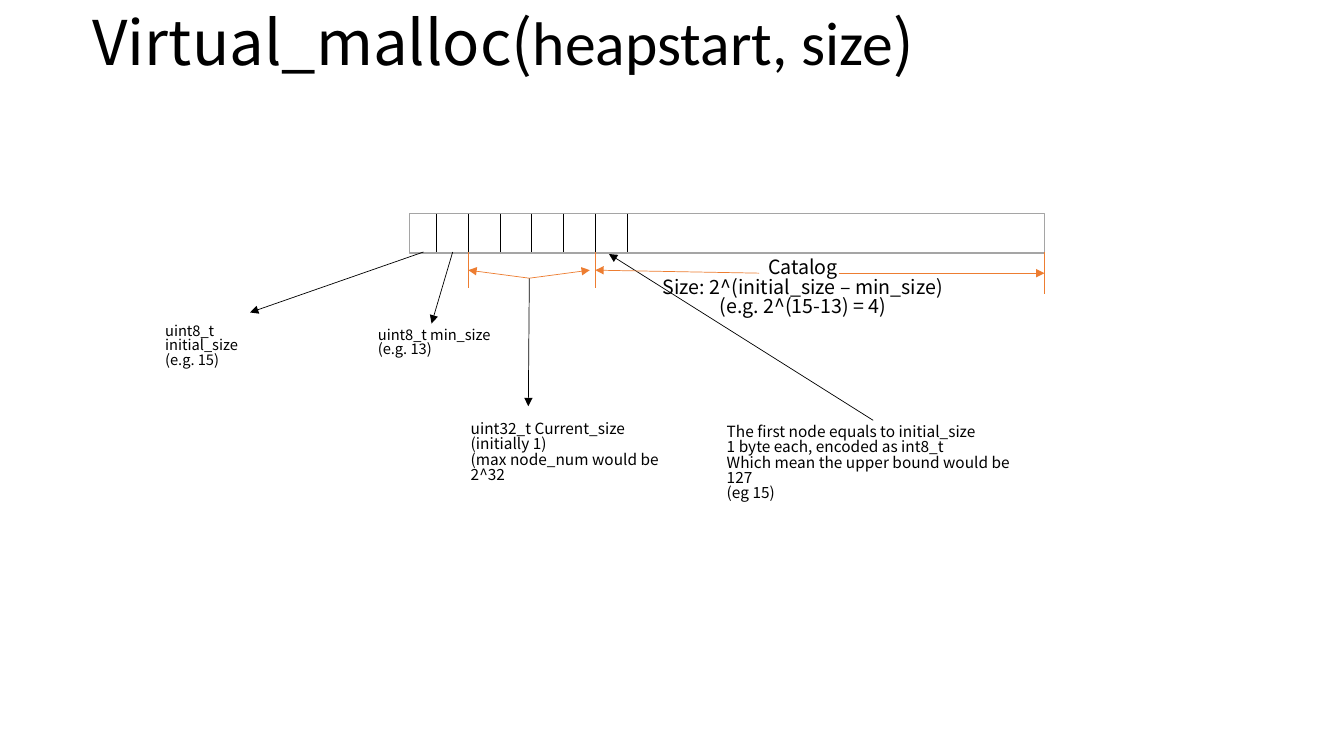
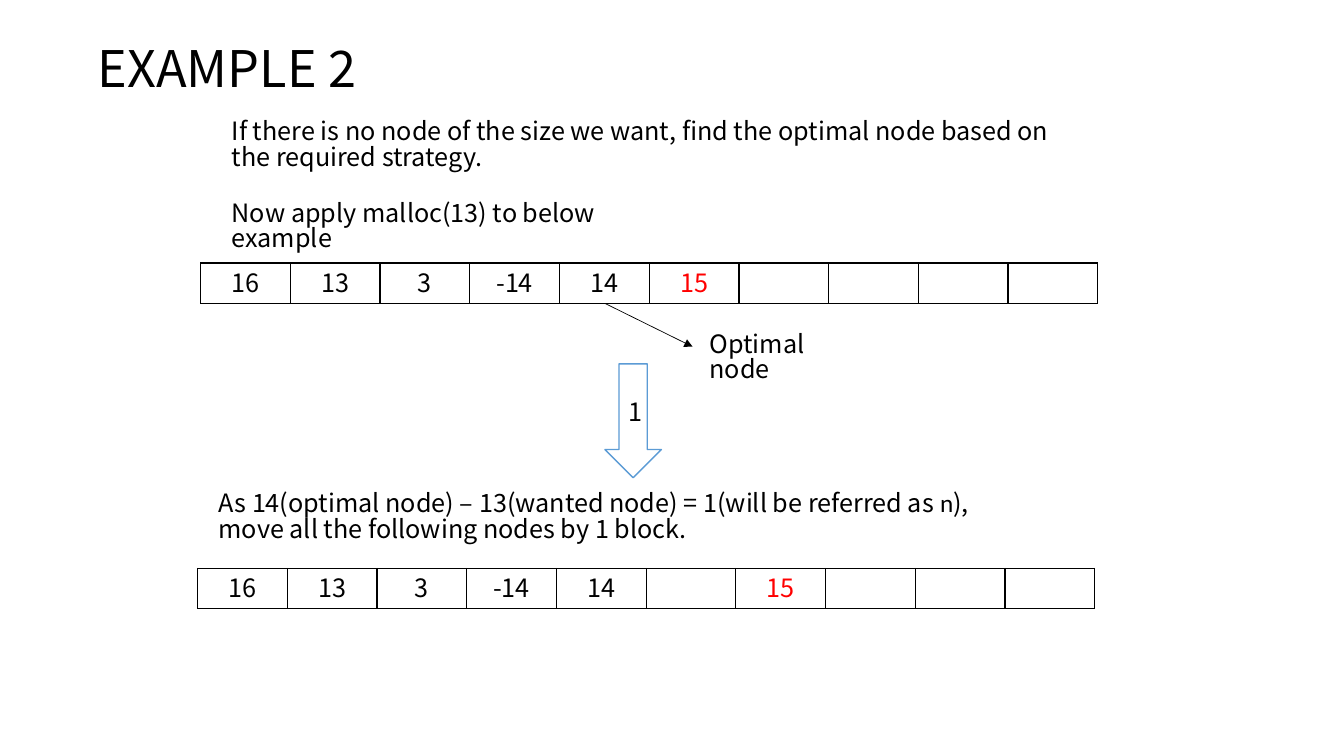
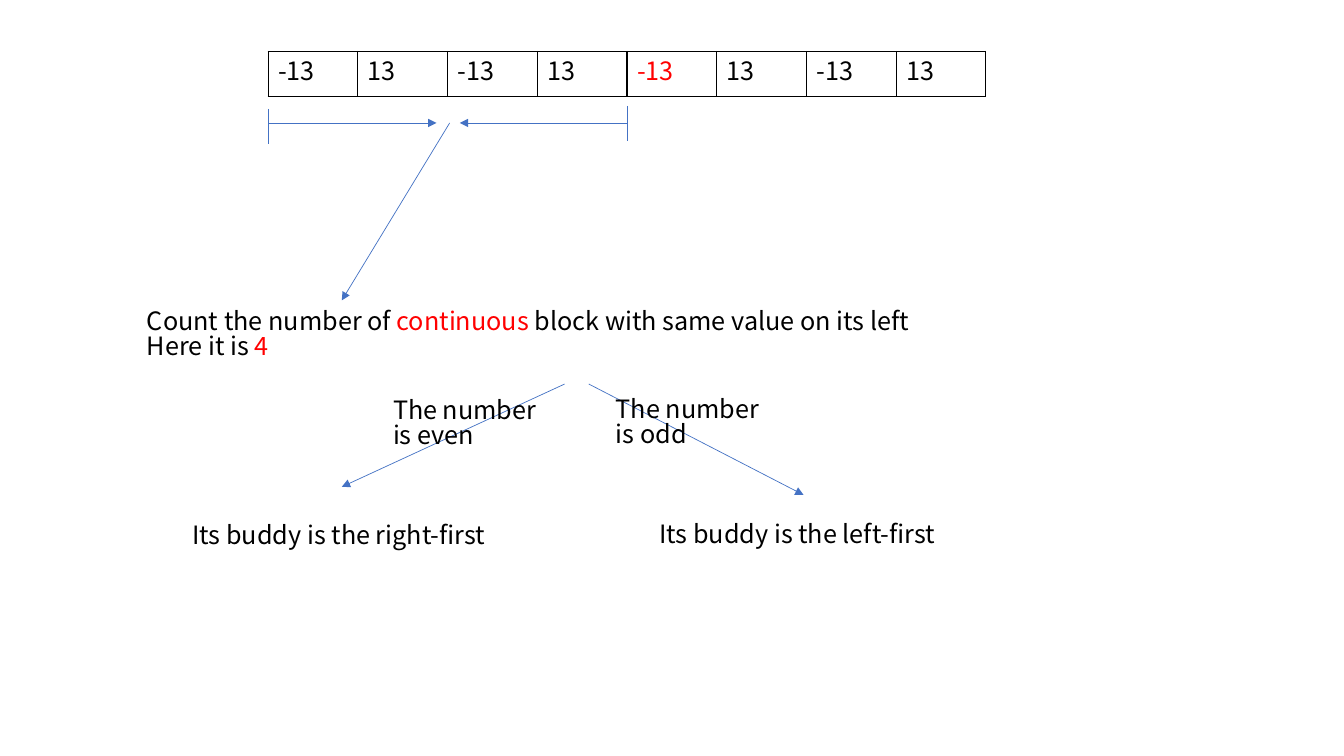
import dataclasses
import typing

import lxml.etree
import pptx
import pptx.dml.color
import pptx.enum.shapes
import pptx.enum.text
import pptx.oxml.ns
import pptx.util

Inches = pptx.util.Inches
qn = pptx.oxml.ns.qn
ALIGN = pptx.enum.text.PP_ALIGN
ANCHOR = pptx.enum.text.MSO_ANCHOR
SHAPE = pptx.enum.shapes.MSO_SHAPE

# Shared style
COLORS = {
    "black": "000000", "white": "FFFFFF", "red": "FF0000", "gray": "A5A5A5",
    "orange": "ED7D31", "blue": "4472C4", "arrow": "5B9BD5",
}
BODY_FONT = "Noto Sans CJK SC"
CODE_FONT = "Calibri"
LINE_SPACING = 0.83
CELL_WIDTH = 0.89


@dataclasses.dataclass
class Run:
    text: str
    color: str = "black"
    font: str = BODY_FONT


@dataclasses.dataclass
class Label:
    left: float
    top: float
    width: float
    height: float
    paragraphs: list
    size: float = 18
    align: typing.Any = ALIGN.LEFT


@dataclasses.dataclass
class Line:
    start: tuple
    end: tuple
    color: str = "black"
    arrow: bool = True


def rgb(name: str):
    return pptx.dml.color.RGBColor.from_string(COLORS[name])


def write_text(frame, paragraphs: list, *, size: float = 18, align=ALIGN.LEFT,
               spacing: float = LINE_SPACING, anchor=ANCHOR.TOP) -> None:
    """Fill a frame; each paragraph is a string or a list of runs."""
    frame.word_wrap = True
    frame.vertical_anchor = anchor
    for index, content in enumerate(paragraphs):
        paragraph = frame.paragraphs[0] if index == 0 else frame.add_paragraph()
        paragraph.alignment = align
        paragraph.line_spacing = spacing
        for part in [Run(content)] if isinstance(content, str) else content:
            run = paragraph.add_run()
            run.text = part.text
            run.font.size = pptx.util.Pt(size)
            run.font.name = part.font
            run.font.color.rgb = rgb(part.color)


def add_label(slide, label: Label, **text_format):
    box = slide.shapes.add_textbox(Inches(label.left), Inches(label.top),
                                   Inches(label.width), Inches(label.height))
    write_text(box.text_frame, label.paragraphs, size=label.size,
               align=label.align, **text_format)
    return box


def add_line(slide, line: Line):
    connector = slide.shapes.add_connector(
        pptx.enum.shapes.MSO_CONNECTOR.STRAIGHT,
        *(Inches(value) for value in line.start + line.end))
    connector.line.color.rgb = rgb(line.color)
    connector.line.width = pptx.util.Pt(0.5)
    if line.arrow:
        lxml.etree.SubElement(connector.line._get_or_add_ln(), qn("a:tailEnd"), type="triangle")
    lxml.etree.SubElement(connector._element.spPr, qn("a:effectLst"))
    return connector


def add_block(slide, kind, left: float, top: float, width: float, height: float, color: str):
    shape = slide.shapes.add_shape(kind, Inches(left), Inches(top),
                                   Inches(width), Inches(height))
    shape.shadow.inherit = False
    shape.fill.solid()
    shape.fill.fore_color.rgb = rgb("white")
    shape.line.color.rgb = rgb(color)
    shape.line.width = pptx.util.Pt(1)
    return shape


def add_borders(cell) -> None:
    properties = cell._tc.get_or_add_tcPr()
    for index, side in enumerate(("lnL", "lnR", "lnT", "lnB")):
        border = lxml.etree.Element(qn(f"a:{side}"), w=str(pptx.util.Pt(1)))
        fill = lxml.etree.SubElement(border, qn("a:solidFill"))
        lxml.etree.SubElement(fill, qn("a:srgbClr"), val=COLORS["black"])
        properties.insert(index, border)


def add_node_table(slide, left: float, top: float, height: float, values: list,
                   red_index: int, align=ALIGN.CENTER) -> None:
    """One row of heap nodes with a single node marked red."""
    table = slide.shapes.add_table(1, len(values), Inches(left), Inches(top),
                                   Inches(CELL_WIDTH * len(values)), Inches(height)).table
    table.first_row = table.horz_banding = False
    for index, value in enumerate(values):
        table.columns[index].width = Inches(CELL_WIDTH)
        cell = table.cell(0, index)
        cell.fill.background()
        add_borders(cell)
        if value:
            color = "red" if index == red_index else "black"
            write_text(cell.text_frame, [[Run(value, color)]], align=align)


def build_malloc_slide(slide) -> None:
    title = Label(0.82, 0.08, 11.5, 0.81,
                  [[Run("Virtual_malloc("), Run("heapstart, size", font=CODE_FONT), Run(")")]],
                  size=44)
    add_label(slide, title, spacing=0.9 * LINE_SPACING, anchor=ANCHOR.MIDDLE)

    # Heap bar with its one-byte cells
    top, bottom, right = 2.12, 2.5, 10.36
    add_block(slide, SHAPE.RECTANGLE, 4.06, top, 6.3, 0.39, "gray")
    dividers = [4.33 + 0.315 * index for index in range(7)]
    for x in dividers:
        add_line(slide, Line((x, top), (x, bottom), arrow=False))

    # Field descriptions
    for label in (
        Label(1.54, 3.17, 1.35, 0.45, ["uint8_t initial_size", "(e.g. 15)"], 10.5),
        Label(3.65, 3.21, 1.35, 0.45, ["uint8_t min_size", "(e.g. 13)"], 10.5),
        Label(4.57, 4.14, 2.39, 0.66,
              ["uint32_t Current_size", "(initially 1)", "(max node_num would be 2^32"], 11),
        Label(6.45, 2.52, 3.03, 0.81,
              ["Catalog", "Size: 2^(initial_size – min_size)", "(e.g. 2^(15-13) = 4)"],
              14, ALIGN.CENTER),
    ):
        add_label(slide, label)
    first_node = add_label(slide, Label(
        7.11, 4.17, 3.1, 0.84,
        ["The first node equals to initial_size", "1 byte each, encoded as int8_t",
         "Which mean the upper bound would be 127", "(eg 15)"], 11))
    add_line(slide, Line((8.66, 4.17), (6.04, 2.52))).begin_connect(first_node, 0)

    # Pointers and extents
    size_start, catalog_start = dividers[1], dividers[5]
    for line in (
        Line((4.2, bottom), (2.48, 3.1)),
        Line((4.49, bottom), (4.28, 3.21)),
        Line((5.25, 2.76), (5.24, 4.03)),
        Line((size_start, bottom), (size_start, 2.86), "orange", False),
        Line((catalog_start, bottom), (catalog_start, 2.86), "orange", False),
        Line((right, bottom), (right, 2.92), "orange", False),
        Line((5.25, 2.76), (size_start, 2.68), "orange"),
        Line((5.25, 2.76), (5.85, 2.68), "orange"),
        Line((7.53, 2.71), (catalog_start, 2.68), "orange"),
        Line((8.32, 2.71), (right, 2.71), "orange"),
    ):
        add_line(slide, line)


def build_example_slide(slide) -> None:
    for label in (
        Label(0.87, 0.42, 6.1, 0.71, ["EXAMPLE 2"], 36),
        Label(2.2, 1.15, 8.4, 0.71, ["If there is no node of the size we want, find the "
                                     "optimal node based on the required strategy."]),
        Label(2.2, 1.96, 4.51, 0.4, ["Now apply malloc(13) to below example"]),
        Label(6.94, 3.26, 1.7, 0.4, ["Optimal node"]),
        Label(2.07, 4.84, 8.29, 0.71,
              [[Run("As 14(optimal node) – 13(wanted node) = 1(will be referred as "),
                Run("n", font=CODE_FONT),
                Run("), move all the following nodes by 1 block.")]]),
    ):
        add_label(slide, label)

    # Nodes before and after the move
    nodes = ["16", "13", "3", "-14", "14"]
    add_node_table(slide, 1.99, 2.61, 0.4, nodes + ["15", "", "", "", ""], 5)
    add_node_table(slide, 1.96, 5.64, 0.4, nodes + ["", "15", "", "", ""], 6)
    add_line(slide, Line((6, 3.01), (6.87, 3.44)))
    step = add_block(slide, SHAPE.DOWN_ARROW, 6, 3.61, 0.56, 1.13, "arrow")
    write_text(step.text_frame, ["1"], align=ALIGN.CENTER, anchor=ANCHOR.MIDDLE)


def build_buddy_slide(slide) -> None:
    left, middle = 2.66, 2.66 + 4 * CELL_WIDTH
    add_node_table(slide, left, 0.51, 0.45, ["-13", "13"] * 4, 4, ALIGN.LEFT)

    # Counted extent and decision branches
    for line in (
        Line((left, 1.08), (left, 1.43), "blue", False),
        Line((middle, 1.05), (middle, 1.4), "blue", False),
        Line((left, 1.22), (4.33, 1.22), "blue"),
        Line((middle, 1.22), (4.56, 1.22), "blue"),
        Line((4.46, 1.22), (3.39, 2.98), "blue"),
        Line((5.6, 3.81), (3.39, 4.83), "blue"),
        Line((5.84, 3.81), (7.97, 4.91), "blue"),
    ):
        add_line(slide, line)

    for label in (
        Label(1.36, 3.03, 8.06, 0.71,
              [[Run("Count the number of "), Run("continuous", "red"),
                Run(" block with same value on its left")],
               [Run("Here it is "), Run("4", "red")]]),
        Label(3.8, 3.91, 1.63, 0.71, ["The number is even"]),
        Label(6.01, 3.9, 1.63, 0.71, ["The number is odd"]),
        Label(1.81, 5.15, 3.14, 0.4, ["Its buddy is the right-first"]),
        Label(6.44, 5.14, 3.14, 0.4, ["Its buddy is the left-first"]),
    ):
        add_label(slide, label)


def main() -> None:
    presentation = pptx.Presentation()
    presentation.slide_width = Inches(13.33)
    presentation.slide_height = Inches(7.5)
    for build in (build_malloc_slide, build_example_slide, build_buddy_slide):
        build(presentation.slides.add_slide(presentation.slide_layouts[6]))
    presentation.save("out.pptx")


if __name__ == "__main__":
    main()
